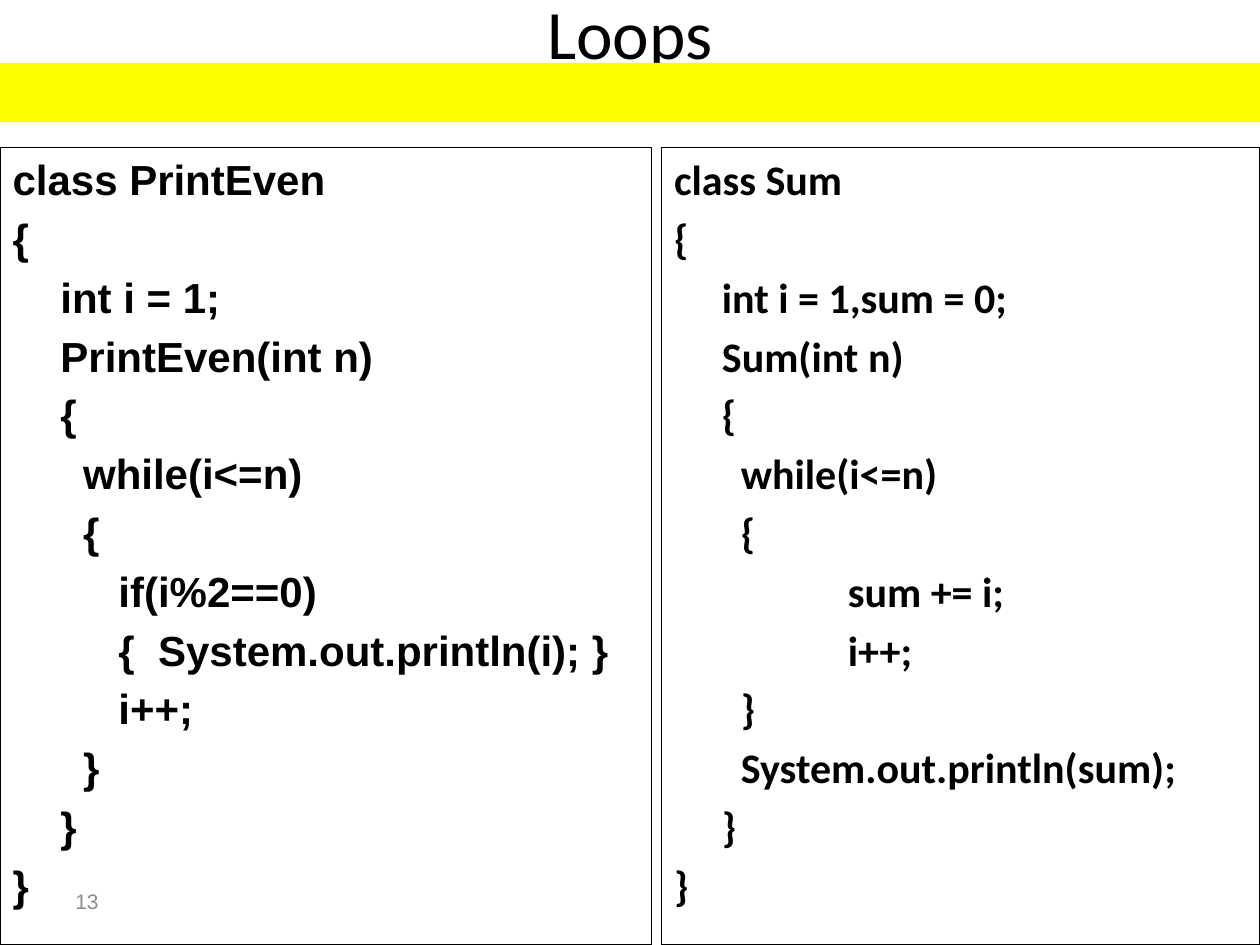
from pptx import Presentation
from pptx.dml.color import RGBColor
from pptx.enum.shapes import MSO_SHAPE
from pptx.enum.text import MSO_ANCHOR, MSO_AUTO_SIZE, PP_ALIGN
from pptx.oxml.ns import qn
from pptx.util import Inches, Pt

TITLE = "Loops"
NUMBER = "13"
PANELS = [
    {
        "box": (0, 1.17, 5.17, 6.33),
        "font": "Arial",
        "indents": (0, 0.38, 0.56, 0.84),
        "code": [
            (0, "class PrintEven"),
            (0, "{"),
            (1, "int i = 1;"),
            (1, "PrintEven(int n)"),
            (1, "{"),
            (2, "while(i<=n)"),
            (2, "{"),
            (3, "if(i%2==0)"),
            (3, "{  System.out.println(i); }"),
            (3, "i++;"),
            (2, "}"),
            (1, "}"),
            (0, "}"),
        ],
    },
    {
        "box": (5.25, 1.17, 4.75, 6.33),
        "font": "Calibri",
        "indents": (0, 0.38, 0.53, 1.38),
        "code": [
            (0, "class Sum"),
            (0, "{"),
            (1, "int i = 1,sum = 0;"),
            (1, "Sum(int n)"),
            (1, "{"),
            (2, "while(i<=n)"),
            (2, "{"),
            (3, "sum += i;"),
            (3, "i++;"),
            (2, "}"),
            (2, "System.out.println(sum);"),
            (1, "}"),
            (0, "}"),
        ],
    },
]


def rgb(value):
    return RGBColor.from_string(value)


def place(sp, box):
    names = ("left", "top", "width", "height")
    for name, value in zip(names, box):
        setattr(sp, name, Inches(value))


def write(p, text, color="000000", **formats):
    r = p.add_run()
    r.text = text
    r.font.color.rgb = rgb(color)
    for name, value in formats.items():
        setattr(r.font, name, value)


def setup(tf, anchor):
    formats = {
        "word_wrap": True,
        "auto_size": MSO_AUTO_SIZE.NONE,
        "vertical_anchor": anchor,
    }
    for name, value in formats.items():
        setattr(tf, name, value)


def code_line(p, text, indent, font):
    pPr = p._p.get_or_add_pPr()
    pPr.set("marL", str(Inches(indent)))
    pPr.set("indent", "0")
    pPr.append(pPr.makeelement(qn("a:buNone"), {}))
    write(p, text, name=font, size=Pt(24), bold=True)


prs = Presentation()
prs.slide_width, prs.slide_height = Inches(10), Inches(7.5)
slide = prs.slides.add_slide(prs.slide_layouts[3])

title = slide.shapes.title
place(title, (0.5, 0, 9, 0.5))
setup(title.text_frame, MSO_ANCHOR.MIDDLE)
p = title.text_frame.paragraphs[0]
p.alignment = PP_ALIGN.CENTER
write(p, TITLE, name="Calibri", size=Pt(39.6))

for idx, panel in enumerate(PANELS, 1):
    sp = slide.placeholders[idx]
    place(sp, panel["box"])
    sp.line.color.rgb = rgb("000000")
    sp.line.width = Pt(0.75)
    tf = sp.text_frame
    setup(tf, MSO_ANCHOR.TOP)
    for n, (level, text) in enumerate(panel["code"]):
        p = tf.add_paragraph() if n else tf.paragraphs[0]
        code_line(p, text, panel["indents"][level], panel["font"])

number = slide.shapes.add_textbox(0, 0, 0, 0)
place(number, (0.5, 6.95, 2.33, 0.4))
setup(number.text_frame, MSO_ANCHOR.MIDDLE)
write(number.text_frame.paragraphs[0], NUMBER, "8C8C8C", name="Arial", size=Pt(12))

band = slide.shapes.add_shape(MSO_SHAPE.RECTANGLE, 0, 0, 0, 0)
place(band, (0, 0.5, 10, 0.47))
band.shadow.inherit = False
band.fill.solid()
band.fill.fore_color.rgb = rgb("FFFF00")
band.line.fill.background()

prs.save("out.pptx")
